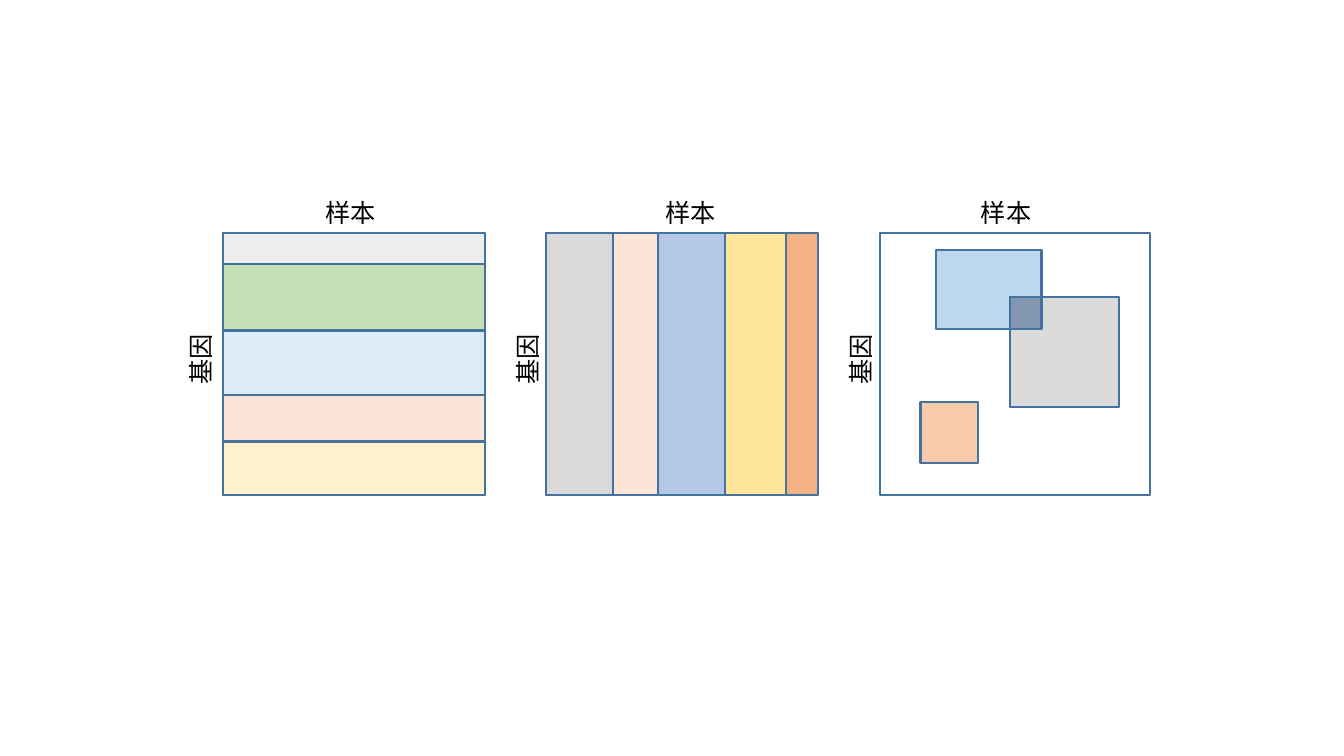
from pptx import Presentation, util as u
from pptx.dml.color import RGBColor
from pptx.enum import shapes, text

OUTLINE = RGBColor(0x43, 0x73, 0x9E)
BLACK = RGBColor(0, 0, 0)
OVERLAP = RGBColor(0x84, 0x97, 0xB0)
PEACH = RGBColor(0xFB, 0xE5, 0xD6)

SAMPLE, GENE = "样本", "基因"
FRAME_TOP, FRAME_HEIGHT = 2.31, 2.6
LABEL_WIDTH, LABEL_HEIGHT = 1.27, 0.4
SAMPLE_TOP, GENE_TOP = 1.91, 3.08

PANELS = [
    {"left": 2.21, "width": 2.6, "sample": 3.13, "gene": 1.35},
    {"left": 5.42, "width": 2.68, "sample": 6.5, "gene": 4.6},
    {"left": 8.73, "width": 2.68, "sample": 9.63, "gene": 7.9},
]
GENE_CLUSTERS = [
    (0.31, RGBColor(0xED, 0xED, 0xED)),
    (0.66, RGBColor(0xC5, 0xE0, 0xB4)),
    (0.64, RGBColor(0xDE, 0xEB, 0xF7)),
    (0.46, PEACH),
    (0.53, RGBColor(0xFF, 0xF2, 0xCC)),
]
SAMPLE_CLUSTERS = [
    (0.66, RGBColor(0xD9, 0xD9, 0xD9)),
    (0.45, PEACH),
    (0.66, RGBColor(0xB4, 0xC7, 0xE7)),
    (0.61, RGBColor(0xFF, 0xE6, 0x99)),
    (0.31, RGBColor(0xF4, 0xB1, 0x83)),
]
BICLUSTERS = [
    (9.28, 2.48, 1.05, 0.78, RGBColor(0xBD, 0xD7, 0xEE)),
    (10.02, 2.95, 1.08, 1.09, RGBColor(0xDB, 0xDB, 0xDB)),
    (9.13, 3.99, 0.57, 0.6, RGBColor(0xF8, 0xCB, 0xAD)),
]
LABEL_FONT = {"name": "Calibri", "size": u.Pt(18)}

prs = Presentation()
prs.slide_width, prs.slide_height = u.Inches(13.33), u.Inches(7.5)
slide = prs.slides.add_slide(prs.slide_layouts[6])


def add_block(left, top, width, height, color=None):
    block = slide.shapes.add_shape(
        shapes.MSO_SHAPE.RECTANGLE, *map(u.Inches, (left, top, width, height)))
    block.shadow.inherit = False
    block.line.color.rgb = OUTLINE
    block.line.width = u.Pt(1.5)
    if color is None:
        block.fill.background()
    else:
        block.fill.solid()
        block.fill.fore_color.rgb = color


def add_label(words, left, top, rotation=0):
    label = slide.shapes.add_textbox(
        *map(u.Inches, (left, top, LABEL_WIDTH, LABEL_HEIGHT)))
    label.rotation = rotation
    label.text_frame.word_wrap = True
    label.text_frame.auto_size = text.MSO_AUTO_SIZE.SHAPE_TO_FIT_TEXT
    run = label.text_frame.paragraphs[0].add_run()
    run.text = words
    for key, value in LABEL_FONT.items():
        setattr(run.font, key, value)
    run.font.color.rgb = BLACK


for panel in PANELS:
    add_block(panel["left"], FRAME_TOP, panel["width"], FRAME_HEIGHT)

gene_panel, sample_panel, _ = PANELS
row_top = FRAME_TOP
for height, color in GENE_CLUSTERS:
    add_block(gene_panel["left"], row_top, gene_panel["width"], height, color)
    row_top += height

column_left = sample_panel["left"]
for width, color in SAMPLE_CLUSTERS:
    add_block(column_left, FRAME_TOP, width, FRAME_HEIGHT, color)
    column_left += width

for bicluster in BICLUSTERS:
    add_block(*bicluster)
(first_left, first_top, first_width, first_height, _), (left, top, *_) = BICLUSTERS[:2]
add_block(left, top, first_left + first_width - left,
          first_top + first_height - top, OVERLAP)

for panel in PANELS:
    add_label(SAMPLE, panel["sample"], SAMPLE_TOP)
    add_label(GENE, panel["gene"], GENE_TOP, 270)

prs.save("out.pptx")
